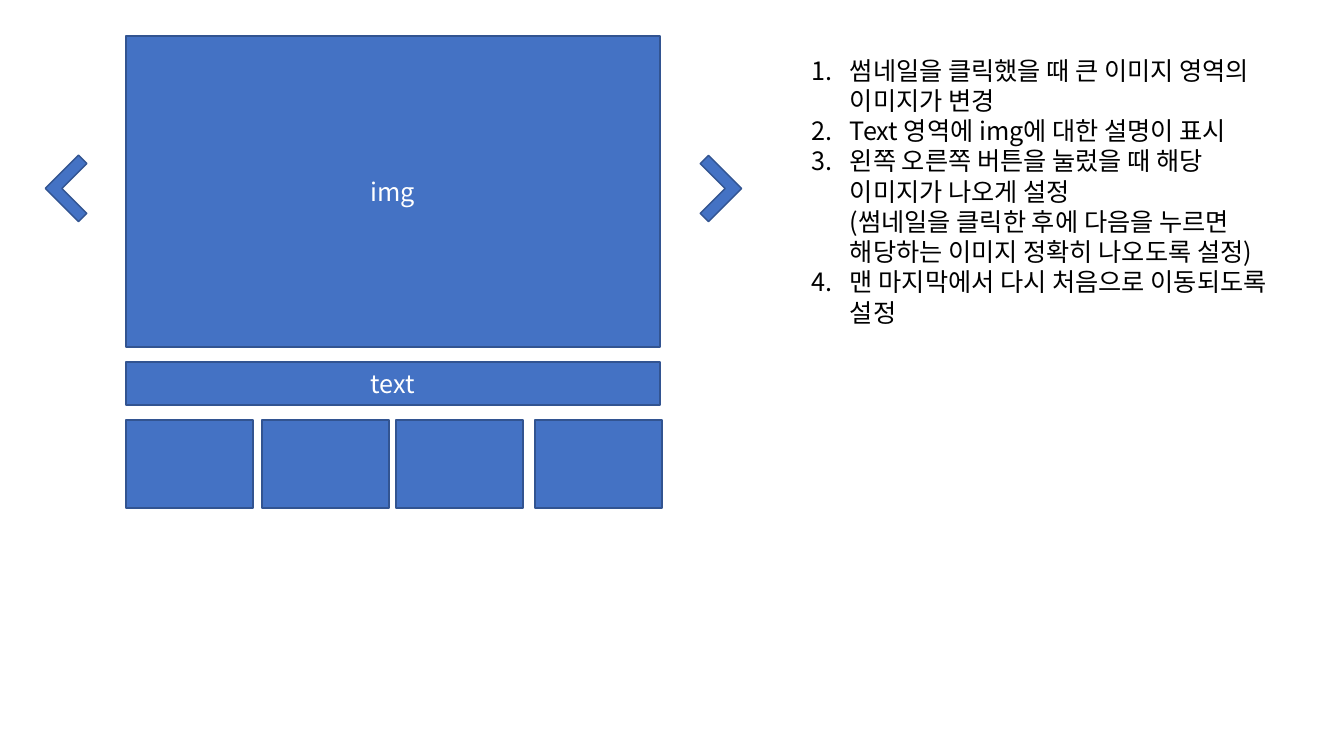
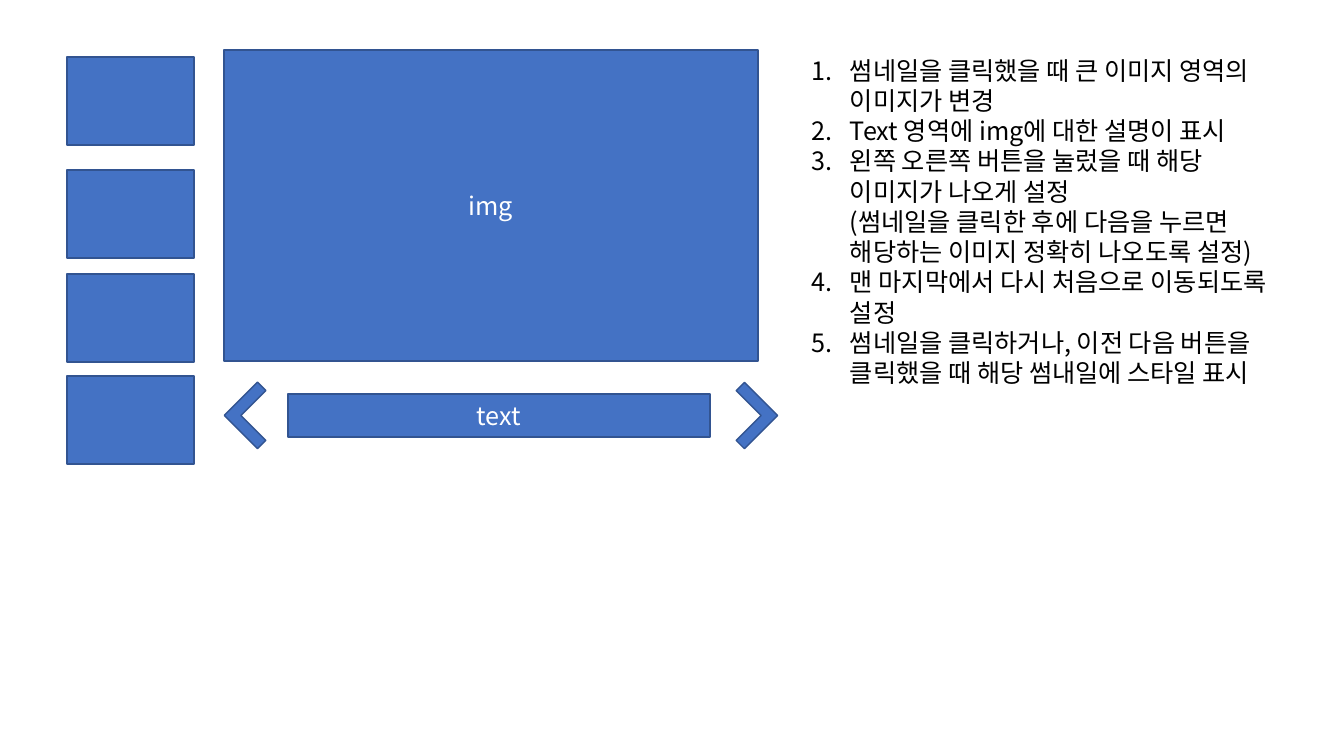
import pptx
import pptx.util
import pptx.dml.color
import pptx.enum.shapes
import pptx.enum.text
import pptx.oxml.ns
import lxml.etree

SHAPE = pptx.enum.shapes.MSO_SHAPE
ALIGN = pptx.enum.text.PP_ALIGN
ANCHOR = pptx.enum.text.MSO_ANCHOR
FIT = pptx.enum.text.MSO_AUTO_SIZE
qn = pptx.oxml.ns.qn


def px(n):
    return pptx.util.Emu(round(n * 914400 / 100.8))


def color(code):
    return pptx.dml.color.RGBColor.from_string(code)


class Deck:
    face = "Noto Sans CJK KR"
    size = 18
    blue, edge, white, black = "4472C4", "325491", "FFFFFF", "000000"
    indent = 38

    def __init__(self):
        self.show = pptx.Presentation()
        self.show.slide_width, self.show.slide_height = px(1344), px(756)

    def page(self):
        self.slide = self.show.slides.add_slide(self.show.slide_layouts[6])

    def style(self, para, code):
        font = para.font
        font.size = pptx.util.Pt(self.size)
        font.color.rgb = color(code)
        font.name = self.face
        props = para._p.get_or_add_pPr().find(qn("a:defRPr"))
        lxml.etree.SubElement(props, qn("a:ea"), typeface=self.face)

    def shape(self, kind, x, y, w, h):
        shape = self.slide.shapes.add_shape(kind, px(x), px(y), px(w), px(h))
        shape.shadow.inherit = False
        shape.fill.solid()
        shape.fill.fore_color.rgb = color(self.blue)
        shape.line.color.rgb = color(self.edge)
        shape.line.width = pptx.util.Pt(1)
        return shape

    def box(self, x, y, w, h, label=""):
        frame = self.shape(SHAPE.RECTANGLE, x, y, w, h).text_frame
        if label:
            frame.vertical_anchor = ANCHOR.MIDDLE
            para = frame.paragraphs[0]
            para.text = label
            para.alignment = ALIGN.CENTER
            self.style(para, self.white)

    def image(self, x, y):
        self.box(x, y, 534, 311, "img")

    def thumb(self, x, y):
        self.box(x, y, 127, 88)

    def arrows(self, left, right, y):
        for x, turn in ((left, 45), (right, 225)):
            arrow = self.shape(SHAPE.CORNER, x, y, 47, 47)
            arrow.rotation = turn
            arrow.adjustments[0] = arrow.adjustments[1] = 0.25

    def notes(self, items, h):
        box = self.slide.shapes.add_textbox(px(802), px(50), px(536), px(h))
        frame = box.text_frame
        frame.word_wrap = False
        frame.auto_size = FIT.SHAPE_TO_FIT_TEXT
        for i, item in enumerate(items):
            para = frame.add_paragraph() if i else frame.paragraphs[0]
            para.text = item
            props = para._p.get_or_add_pPr()
            props.set("marL", str(px(self.indent)))
            props.set("indent", str(-px(self.indent)))
            lxml.etree.SubElement(props, qn("a:buFont"), typeface="+mj-lt")
            lxml.etree.SubElement(props, qn("a:buAutoNum"), type="arabicPeriod")
            self.style(para, self.black)


RULES = [
    "썸네일을 클릭했을 때 큰 이미지 영역의 \v이미지가 변경",
    "Text 영역에 img에 대한 설명이 표시",
    "왼쪽 오른쪽 버튼을 눌렀을 때 해당 \v이미지가 나오게 설정\v"
    "(썸네일을 클릭한 후에 다음을 누르면 \v해당하는 이미지 정확히 나오도록 설정)",
    "맨 마지막에서 다시 처음으로 이동되도록 \v설정",
]
EXTRA = "썸네일을 클릭하거나, 이전 다음 버튼을 \v클릭했을 때 해당 썸내일에 스타일 표시"

deck = Deck()

deck.page()
deck.image(126, 36)
for x in (126, 262, 396, 535):
    deck.thumb(x, 420)
deck.arrows(55, 685, 165)
deck.box(126, 362, 534, 43, "text")
deck.notes(RULES, 285)

deck.page()
deck.image(224, 50)
for y in (57, 170, 274, 376):
    deck.thumb(67, y)
deck.arrows(234, 721, 392)
deck.box(288, 394, 422, 43, "text")
deck.notes(RULES + [EXTRA], 346)

deck.show.save("out.pptx")
